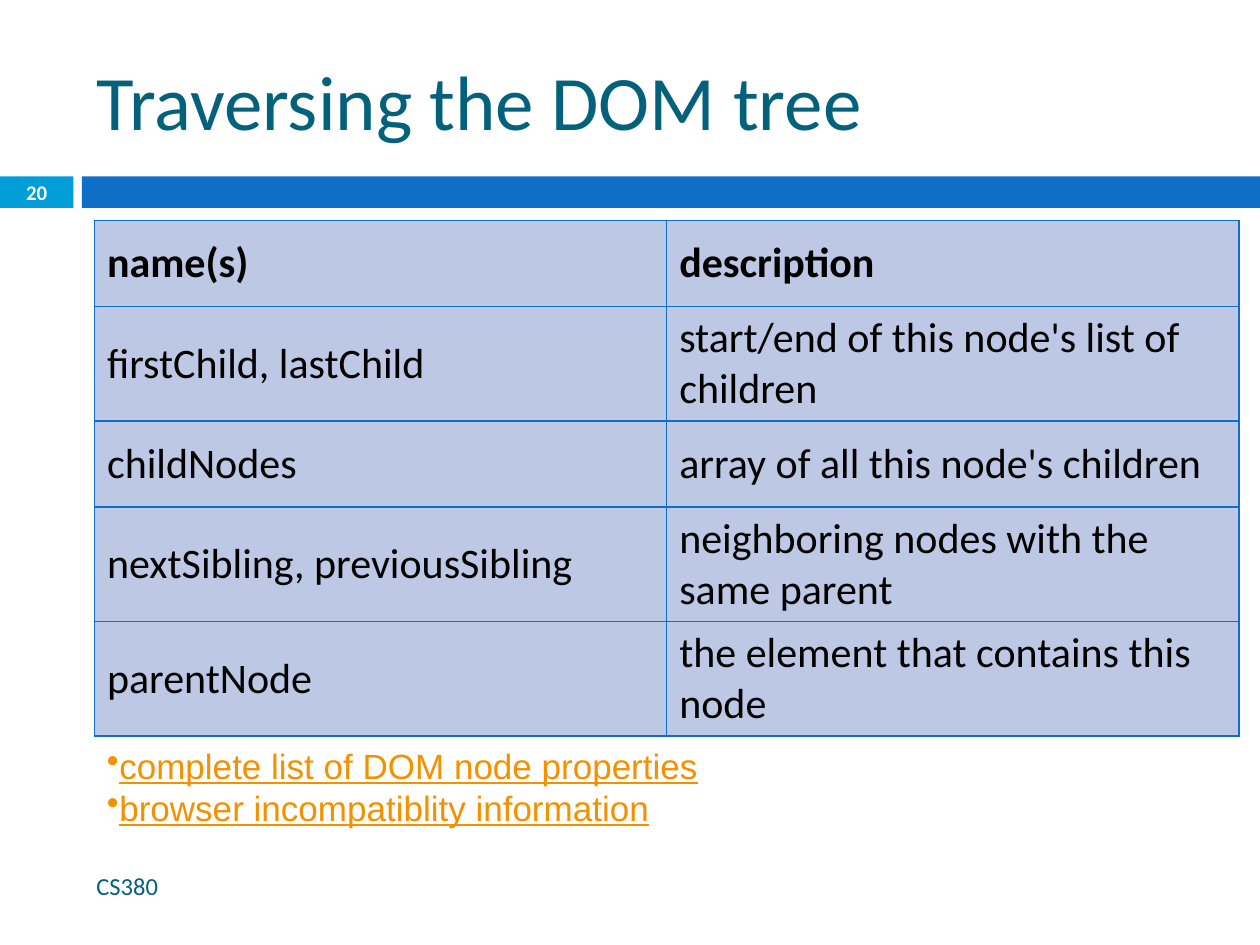
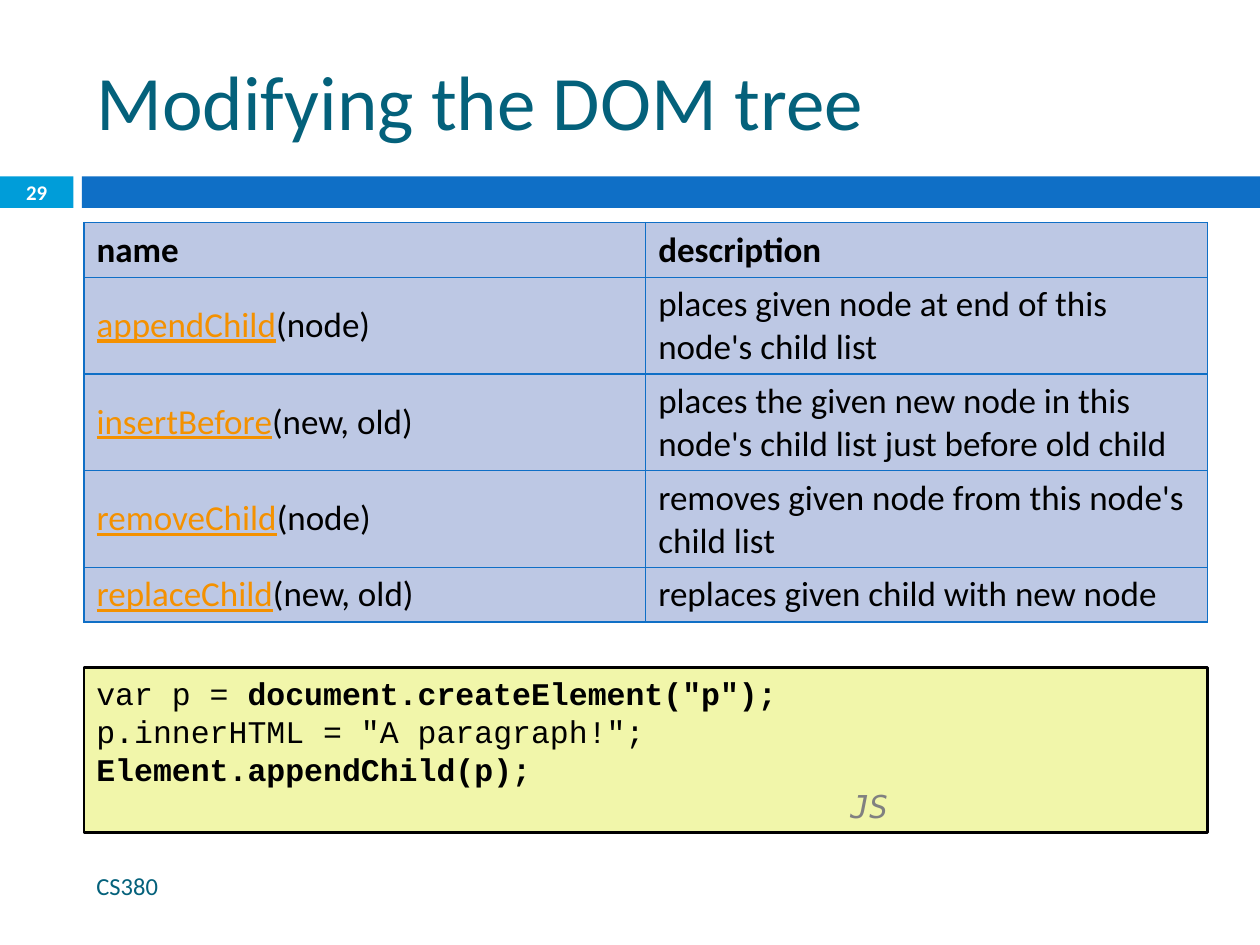
from lxml import etree
from pptx import Presentation
from pptx import util as u
from pptx.dml.color import RGBColor
from pptx.enum import shapes, text
from pptx.oxml.ns import qn

SLIDE_WIDTH, SLIDE_HEIGHT = u.Inches(10), u.Inches(7.5)
COLUMN, ROW = SLIDE_WIDTH / 120, SLIDE_HEIGHT / 90

BLACK = RGBColor(0x00, 0x00, 0x00)
WHITE = RGBColor(0xFF, 0xFF, 0xFF)
GRAY = RGBColor(0x80, 0x80, 0x80)
TEAL = RGBColor(0x04, 0x61, 0x7B)
CYAN = RGBColor(0x00, 0x9D, 0xD9)
BLUE = RGBColor(0x0F, 0x6F, 0xC6)
PALE_BLUE = RGBColor(0xBD, 0xC8, 0xE4)
YELLOW = RGBColor(0xF1, 0xF6, 0xAA)
ORANGE = RGBColor(0xF4, 0x91, 0x00)

BOLD = {"bold": True}
LINK = {"color": ORANGE, "underline": True}

TRAVERSING = [
    ("name(s)", "description"),
    ("firstChild, lastChild", "start/end of this node's list of children"),
    ("childNodes", "array of all this node's children"),
    ("nextSibling, previousSibling", "neighboring nodes with the same parent"),
    ("parentNode", "the element that contains this node"),
]
MODIFYING = [
    ("name", "description"),
    ([("appendChild", LINK), ("(node)", {})],
     "places given node at end of this node's child list"),
    ([("insertBefore", LINK), ("(new, old)", {})],
     "places the given new node in this node's child list just before old child"),
    ([("removeChild", LINK), ("(node)", {})],
     "removes given node from this node's child list"),
    ([("replaceChild", LINK), ("(new, old)", {})],
     "replaces given child with new node"),
]
REFERENCES = ["complete list of DOM node properties",
              "browser incompatiblity information"]
CODE = [
    [("var p = ", {}), ('document.createElement("p");', BOLD)],
    'p.innerHTML = "A paragraph!";',
    [("Element.appendChild(p);", BOLD)],
]


def place(left, top, width, height):
    """Turn grid columns and rows into slide lengths."""
    return (u.Emu(round(left * COLUMN)), u.Emu(round(top * ROW)),
            u.Emu(round(width * COLUMN)), u.Emu(round(height * ROW)))


def write(paragraph, content, size=20, font="Calibri", color=BLACK, bold=False,
          italic=False, underline=False, align=text.PP_ALIGN.LEFT):
    """Write a string, or a list of (string, changes) runs, into a paragraph."""
    paragraph.alignment = align
    base = dict(size=size, font=font, color=color, bold=bold,
                italic=italic, underline=underline)
    for words, changes in [(content, {})] if isinstance(content, str) else content:
        look = {**base, **changes}
        run = paragraph.add_run()
        run.text = words
        run.font.size = u.Pt(look["size"])
        run.font.name = look["font"]
        run.font.color.rgb = look["color"]
        run.font.bold = look["bold"]
        run.font.italic = look["italic"]
        run.font.underline = look["underline"]


def write_lines(frame, lines, **look):
    """Write one paragraph for each line and return the paragraphs."""
    for _ in lines[1:]:
        frame.add_paragraph()
    for paragraph, line in zip(frame.paragraphs, lines):
        write(paragraph, line, **look)
    return frame.paragraphs


def add_label(slide, area, lines, wrap=True, **look):
    """Add vertically centred text and return its paragraphs."""
    frame = slide.shapes.add_textbox(*place(*area)).text_frame
    frame.word_wrap = wrap
    frame.vertical_anchor = text.MSO_ANCHOR.MIDDLE
    return write_lines(frame, lines, **look)


def add_panel(slide, area, fill, outline=None):
    """Add a filled rectangle and return its text frame."""
    panel = slide.shapes.add_shape(shapes.MSO_SHAPE.RECTANGLE, *place(*area))
    panel.shadow.inherit = False
    panel.fill.solid()
    panel.fill.fore_color.rgb = fill
    if outline is None:
        panel.line.fill.background()
    else:
        panel.line.color.rgb = outline
        panel.line.width = u.Pt(1.5)
    panel.text_frame.word_wrap = True
    return panel.text_frame


def add_borders(cell):
    """Draw thin blue lines on the four sides of a cell."""
    properties = cell._tc.get_or_add_tcPr()
    for order, side in enumerate(("lnL", "lnR", "lnT", "lnB")):
        line = etree.Element(qn(f"a:{side}"), w=str(u.Pt(0.79)))
        fill = etree.SubElement(line, qn("a:solidFill"))
        etree.SubElement(fill, qn("a:srgbClr"), val=str(BLUE))
        properties.insert(order, line)


def add_reference_table(slide, left, top, width, heights, rows, size):
    """Add a two-column table with a bold first row."""
    area = place(left, top, width, sum(heights))
    table = slide.shapes.add_table(len(rows), 2, *area).table
    for column in table.columns:
        column.width = area[2] // 2
    for index, (height, entries) in enumerate(zip(heights, rows)):
        table.rows[index].height = u.Emu(round(height * ROW))
        for cell, entry in zip(table.rows[index].cells, entries):
            cell.vertical_anchor = text.MSO_ANCHOR.MIDDLE
            cell.fill.solid()
            cell.fill.fore_color.rgb = PALE_BLUE
            add_borders(cell)
            write(cell.text_frame.paragraphs[0], entry, size=size, bold=index == 0)


def add_references(slide, area, lines):
    """Add bulleted lines styled as references."""
    for paragraph in add_label(slide, area, lines, wrap=False, font="Arial", **LINK):
        properties = paragraph._p.get_or_add_pPr()
        properties.set("marL", "0")
        properties.set("indent", "0")
        etree.SubElement(properties, qn("a:buChar"), char="•")


def add_code(slide, area, lines, language, language_indent):
    """Add a code panel that ends with an indented language tag."""
    frame = add_panel(slide, area, YELLOW, outline=BLACK)
    frame.vertical_anchor = text.MSO_ANCHOR.TOP
    write_lines(frame, lines, size=18, font="Courier New")
    tag = frame.add_paragraph()
    write(tag, language, size=18, font="DejaVu Sans Mono", color=GRAY, italic=True)
    tag._p.get_or_add_pPr().set("marL", str(round(language_indent * COLUMN)))


def add_page(deck, title, number):
    """Add a slide with its title, bands, number and footer."""
    slide = deck.slides.add_slide(deck.slide_layouts[6])
    number_band = add_panel(slide, (0, 16.8, 7, 3), CYAN)
    number_band.vertical_anchor = text.MSO_ANCHOR.MIDDLE
    write_lines(number_band, [str(number)], size=11.9, color=WHITE, bold=True,
                align=text.PP_ALIGN.CENTER)
    add_panel(slide, (7.8, 16.8, 112.2, 3), BLUE)
    add_label(slide, (8, 3, 107, 13), [title], size=44, color=TEAL)
    add_label(slide, (8, 82, 71, 4.8), ["CS380"], size=14, color=TEAL)
    return slide


def main():
    """Build both slides and save the deck."""
    deck = Presentation()
    deck.slide_width, deck.slide_height = SLIDE_WIDTH, SLIDE_HEIGHT

    traversing = add_page(deck, "Traversing the DOM tree", 20)
    add_reference_table(traversing, 9, 21, 109, [8.2, 10.9, 8.2, 10.9, 10.9],
                        TRAVERSING, size=24)
    add_references(traversing, (9, 70.3, 60, 9.2), REFERENCES)

    modifying = add_page(deck, "Modifying the DOM tree", 29)
    add_code(modifying, (8, 63.6, 107, 15.7), CODE, "JS", language_indent=71.8)
    add_reference_table(modifying, 8, 21.2, 107, [5.2, 9.2, 9.2, 9.2, 5.2],
                        MODIFYING, size=20)

    deck.save("out.pptx")


if __name__ == "__main__":
    main()
